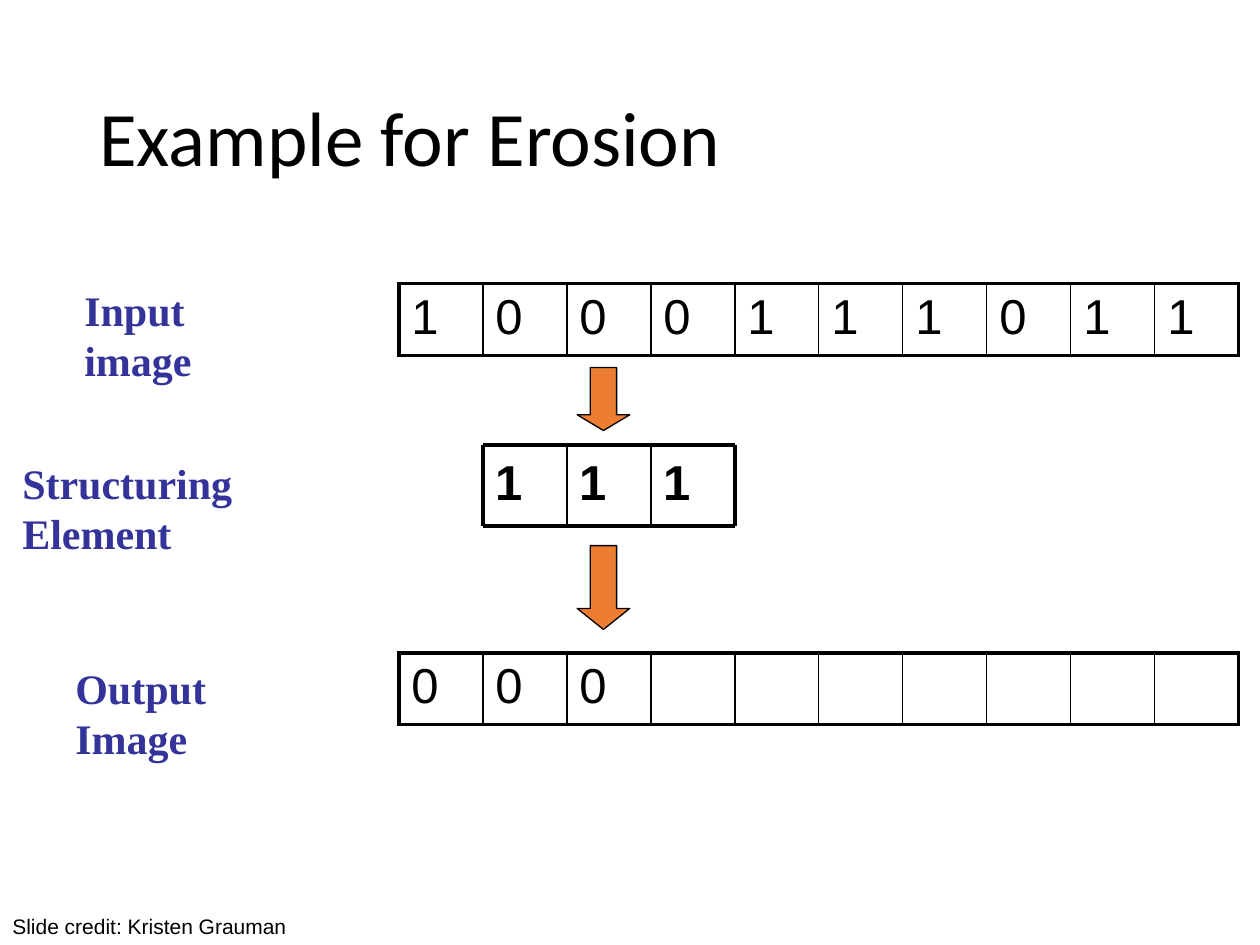
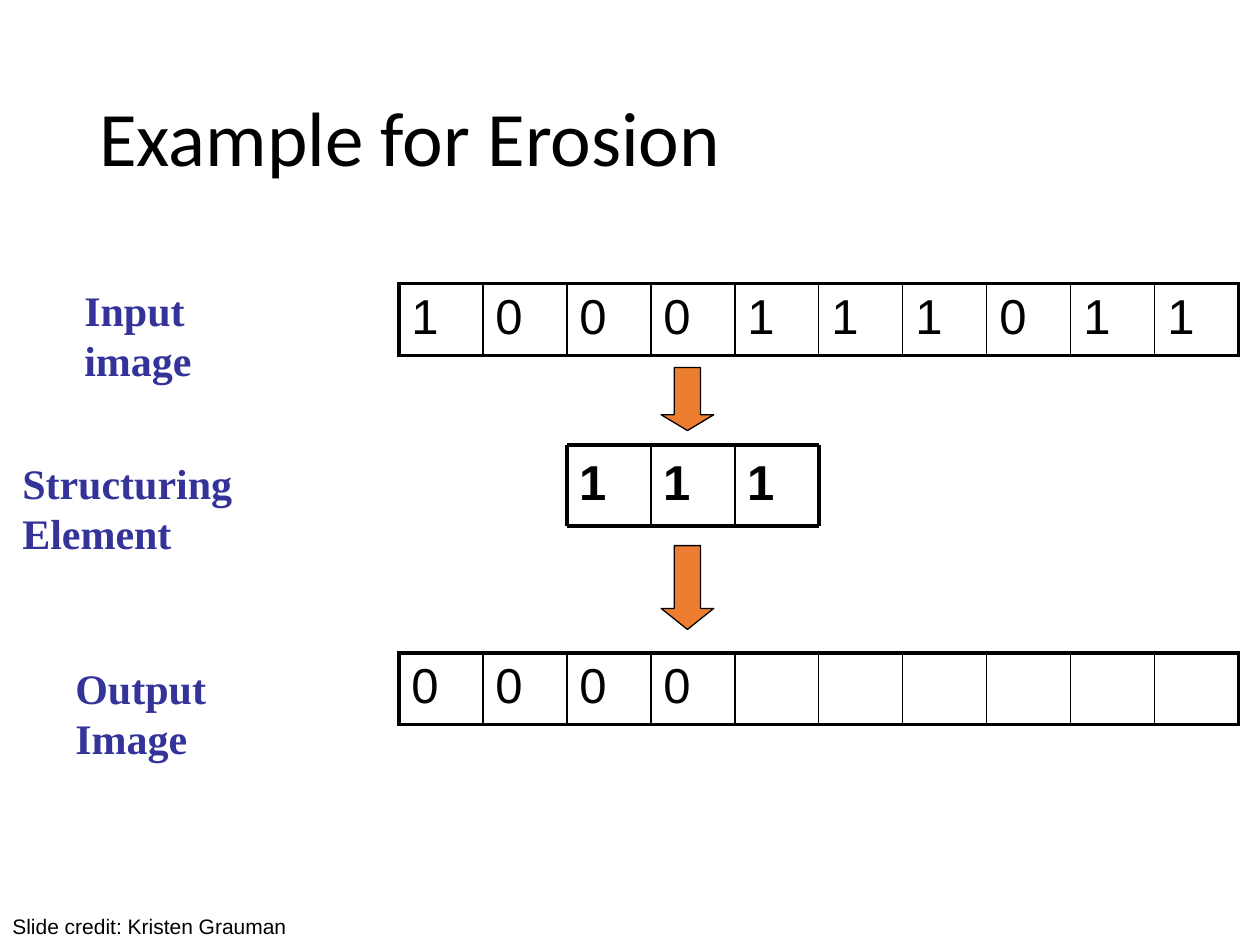
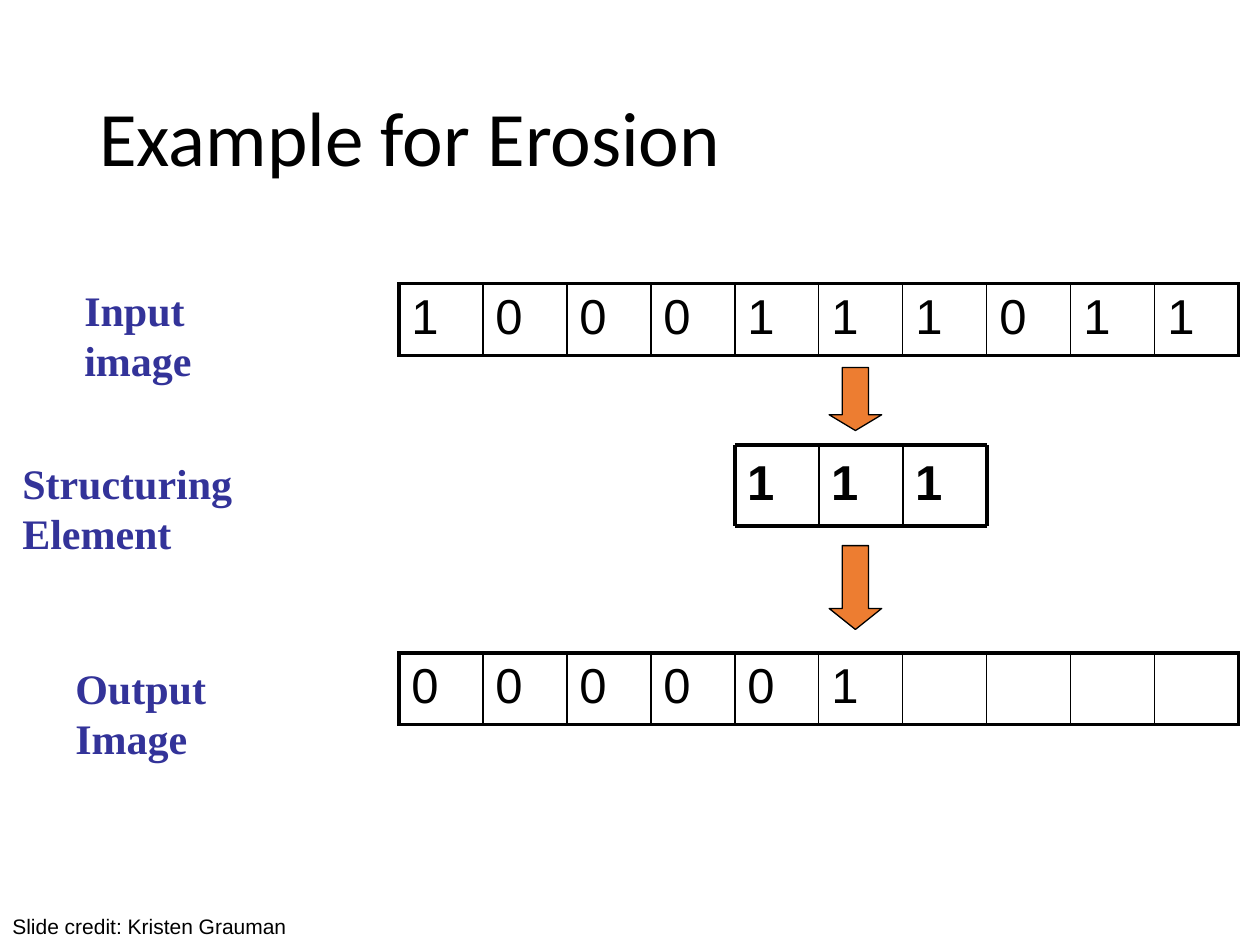
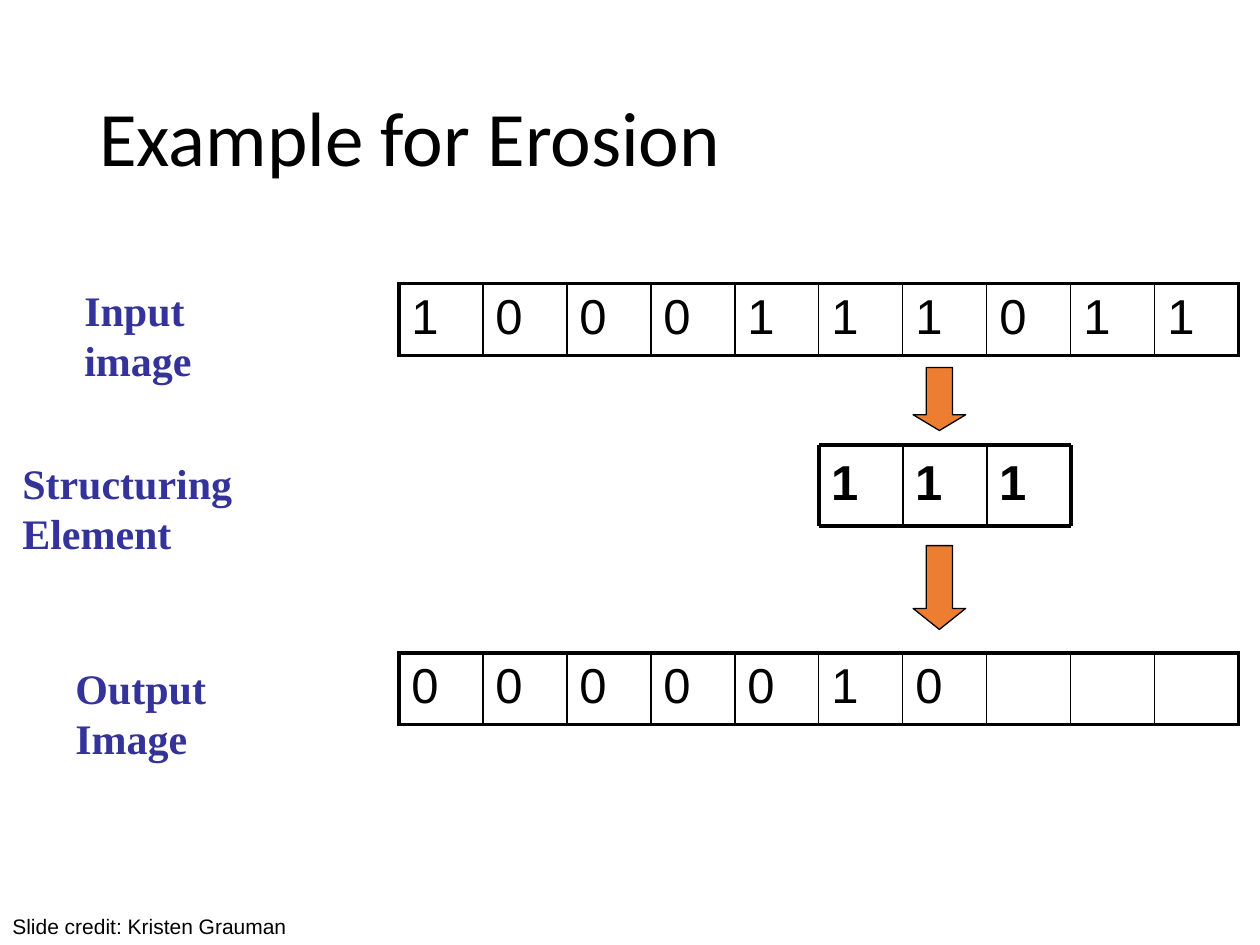
from dataclasses import dataclass

from lxml import etree
from pptx import Presentation
from pptx.dml.color import RGBColor
from pptx.enum.shapes import MSO_CONNECTOR, MSO_SHAPE
from pptx.enum.text import MSO_ANCHOR, MSO_AUTO_SIZE, PP_ALIGN
from pptx.oxml.ns import qn
from pptx.util import Cm, Pt

STRAIGHT = MSO_CONNECTOR.STRAIGHT
DOWN_ARROW = MSO_SHAPE.DOWN_ARROW
TOP, MIDDLE = MSO_ANCHOR.TOP, MSO_ANCHOR.MIDDLE
LEFT = PP_ALIGN.LEFT
GROW = MSO_AUTO_SIZE.SHAPE_TO_FIT_TEXT


@dataclass(frozen=True)
class TextStyle:
    font: str
    size: float
    color: str
    bold: bool = False


@dataclass(frozen=True)
class Theme:
    ink: str = "000000"
    arrow: str = "ED7D31"
    title: TextStyle = TextStyle("Calibri", 44, "000000")
    label: TextStyle = TextStyle("Times New Roman", 24, "333399", True)
    digit: TextStyle = TextStyle("Arial", 28, "000000")
    element: TextStyle = TextStyle("Arial", 28, "000000", True)
    credit: TextStyle = TextStyle("Arial", 12, "000000")
    thick: float = 2.25
    thin: float = 1
    outline: float = 0.75


GRID_LEFT = 8.04
CELL = 1.693
ROW_HEIGHT = 1.42
INPUT_TOP, OUTPUT_TOP = 5.72, 13.16
ELEMENT_TOP, ELEMENT_HEIGHT = 8.97, 1.63
ARROW_WIDTH, ARROW_INSET = 1.06, 0.21

INPUT = [1, 0, 0, 0, 1, 1, 1, 0, 1, 1]
ELEMENT = [1, 1, 1]
CENTERS = [2, 3, 5, 6]
LABELS = [
    ("Input\vimage", 1.45, 5.61, 4.57),
    ("Structuring\vElement", 0.2, 9.09, 7.34),
    ("Output\vImage", 1.27, 13.23, 5.18),
]
ARROWS = [(11, 1.69, 0.4), (7.41, 1.27, 0.3)]


class Deck:
    def __init__(self, theme):
        self.theme = theme
        self.prs = Presentation()
        self.prs.slide_width, self.prs.slide_height = Cm(25.4), Cm(19.05)
        self.s = None

    def new_slide(self):
        self.s = self.prs.slides.add_slide(self.prs.slide_layouts[6])

    def style_text(self, tf, text, style):
        tf.text = text
        p = tf.paragraphs[0]
        p.alignment = LEFT
        for r in p.runs:
            r.font.name = style.font
            r.font.size = Pt(style.size)
            r.font.bold = style.bold
            r.font.color.rgb = RGBColor.from_string(style.color)
        return p

    def text(self, text, x, y, w, h, style, anchor=TOP, wrap=True, grow=False, parent=None):
        sp = (parent or self.s).shapes.add_textbox(Cm(x), Cm(y), Cm(w), Cm(h))
        tf = sp.text_frame
        tf.word_wrap = wrap
        tf.vertical_anchor = anchor
        if grow:
            tf.auto_size = GROW
        return self.style_text(tf, text, style)

    def title(self, text):
        p = self.text(text, 1.75, 1.02, 21.9, 3.68, self.theme.title, MIDDLE)
        p.line_spacing = 0.9

    def label(self, text, x, y, w):
        self.text(text, x, y, w, 1.27, self.theme.label, wrap=False, grow=True)

    def credit(self, text):
        self.text(text, 0, 18.29, 11.63, 0.76, self.theme.credit, grow=True)

    def border(self, cell, widths):
        tc_pr = cell._tc.get_or_add_tcPr()
        for i, (side, width) in enumerate(zip("LRTB", widths)):
            ln = etree.Element(qn(f"a:ln{side}"), w=str(Pt(width)))
            fill = etree.SubElement(ln, qn("a:solidFill"))
            etree.SubElement(fill, qn("a:srgbClr"), val=self.theme.ink)
            tc_pr.insert(i, ln)

    def pixel_row(self, values, top):
        count = len(INPUT)
        frame = self.s.shapes.add_table(
            1, count, Cm(GRID_LEFT), Cm(top), Cm(CELL * count), Cm(ROW_HEIGHT))
        table = frame.table
        table.first_row = table.horz_banding = False
        thick, thin = self.theme.thick, self.theme.thin
        for i in range(count):
            table.columns[i].width = Cm(CELL)
            cell = table.cell(0, i)
            cell.fill.background()
            left = thick if i == 0 else thin
            right = thick if i == count - 1 else thin
            self.border(cell, (left, right, thick, thick))
            if i < len(values):
                self.style_text(cell.text_frame, str(values[i]), self.theme.digit)

    def line(self, parent, x1, y1, x2, y2, width):
        cn = parent.shapes.add_connector(STRAIGHT, Cm(x1), Cm(y1), Cm(x2), Cm(y2))
        cn.line.color.rgb = RGBColor.from_string(self.theme.ink)
        cn.line.width = Pt(width)
        etree.SubElement(cn._element.spPr, qn("a:effectLst"))

    def arrow(self, parent, x, y, h, head):
        sp = parent.shapes.add_shape(DOWN_ARROW, Cm(x), Cm(y), Cm(ARROW_WIDTH), Cm(h))
        sp.adjustments[0], sp.adjustments[1] = 0.5, head
        sp.shadow.inherit = False
        sp.fill.solid()
        sp.fill.fore_color.rgb = RGBColor.from_string(self.theme.arrow)
        sp.line.color.rgb = RGBColor.from_string(self.theme.ink)
        sp.line.width = Pt(self.theme.outline)

    def structuring_element(self, center):
        group = self.s.shapes.add_group_shape()
        count = len(ELEMENT)
        edges = [GRID_LEFT + CELL * (center - count // 2 + i) for i in range(count + 1)]
        bottom = ELEMENT_TOP + ELEMENT_HEIGHT
        for value, x in zip(ELEMENT, edges):
            self.text(str(value), x, ELEMENT_TOP, CELL, ELEMENT_HEIGHT,
                      self.theme.element, parent=group)
        for y in (ELEMENT_TOP, bottom):
            self.line(group, edges[0], y, edges[-1], y, self.theme.thick)
        for i, x in enumerate(edges):
            width = self.theme.thick if i in (0, count) else self.theme.thin
            self.line(group, x, ELEMENT_TOP, x, bottom, width)
        for y, h, head in ARROWS:
            self.arrow(group, GRID_LEFT + CELL * center + ARROW_INSET, y, h, head)


def erode(values, i):
    return min(values[max(i - 1, 0):i + 2])


def main():
    deck = Deck(Theme())
    for center in CENTERS:
        deck.new_slide()
        deck.title("Example for Erosion")
        deck.pixel_row(INPUT, INPUT_TOP)
        for label in LABELS:
            deck.label(*label)
        deck.pixel_row([erode(INPUT, i) for i in range(center + 1)], OUTPUT_TOP)
        deck.structuring_element(center)
        deck.credit("Slide credit: Kristen Grauman")
    deck.prs.save("out.pptx")


if __name__ == "__main__":
    main()
